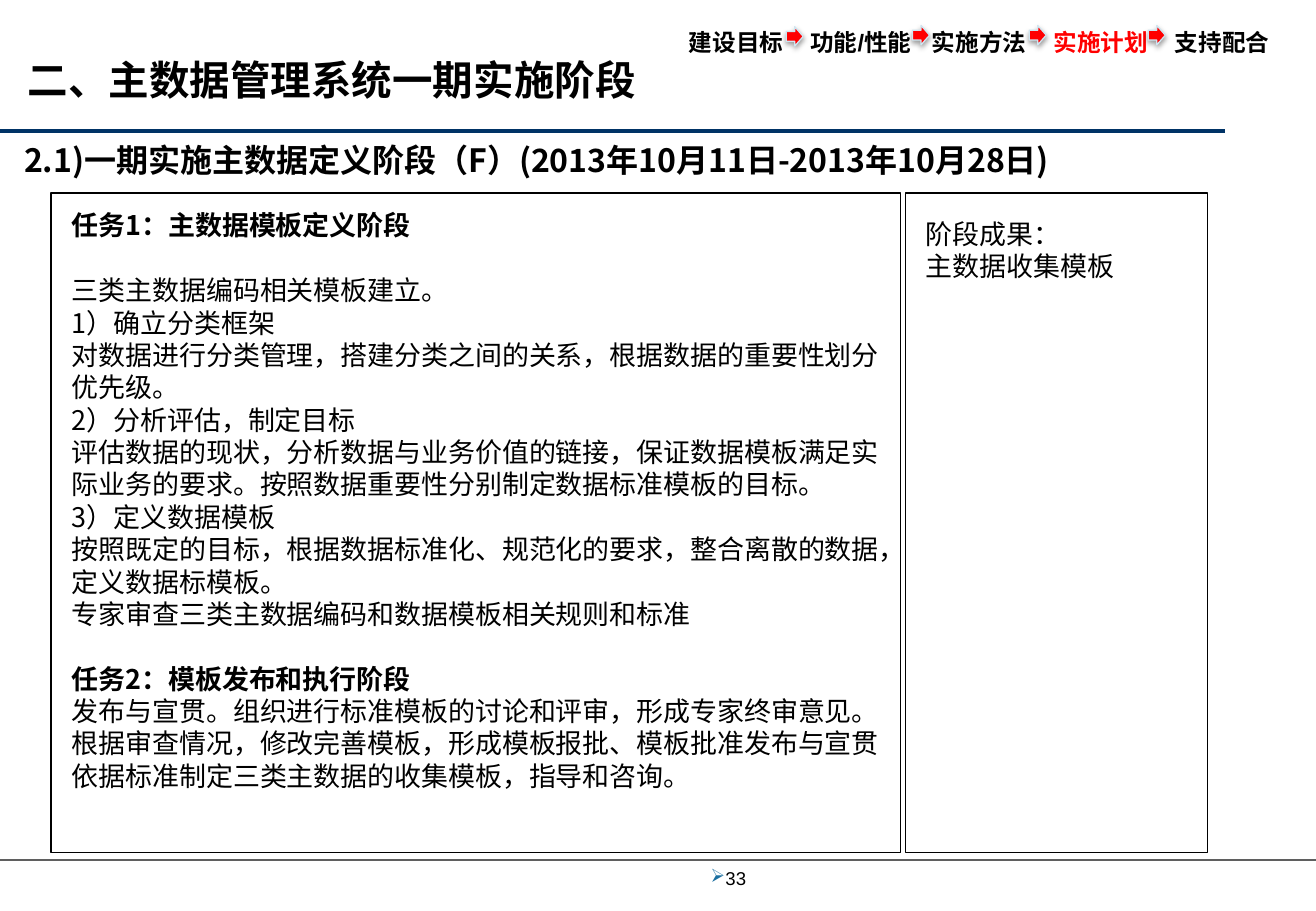
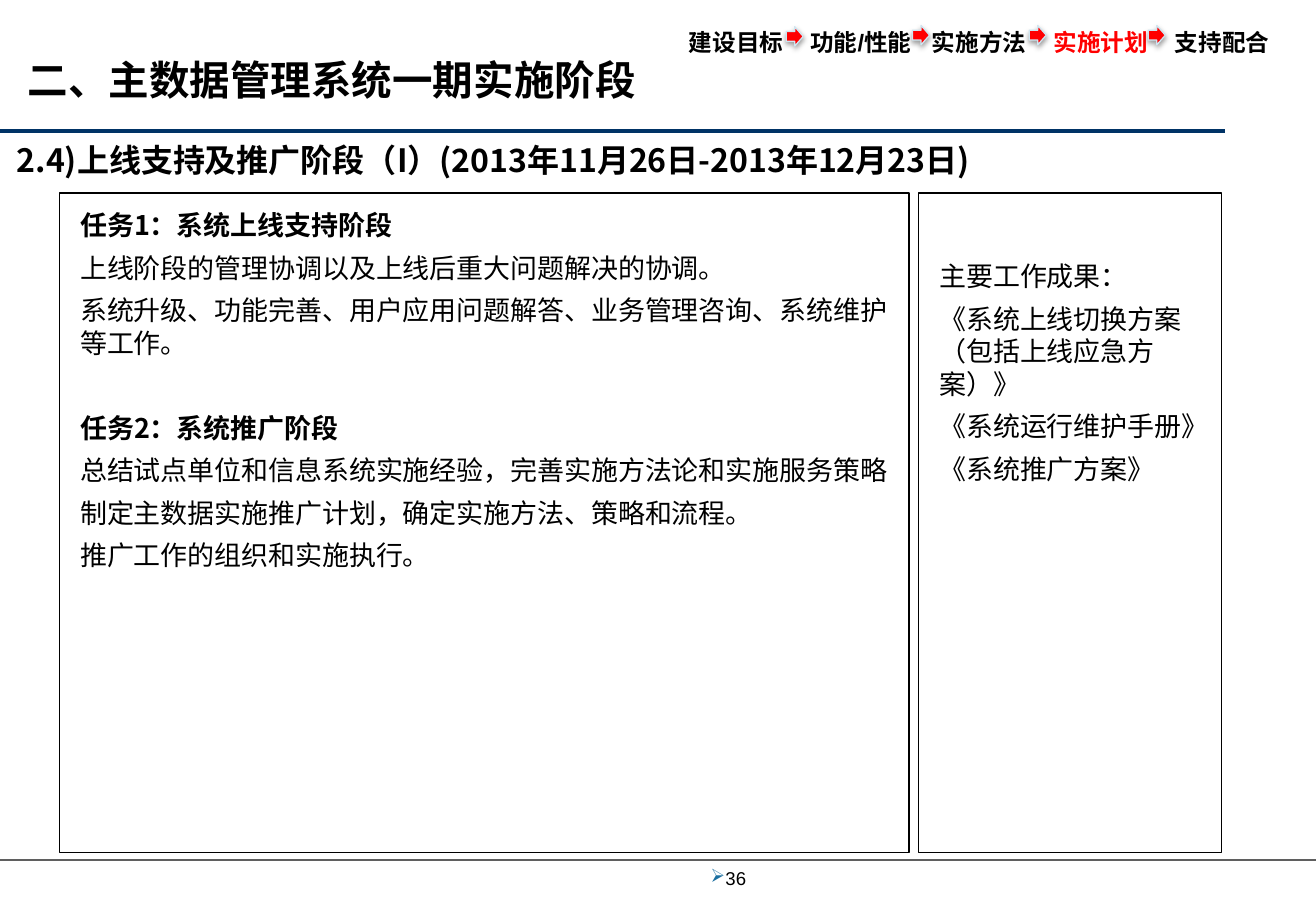
"""Builds two slides on the phases of a master data project."""
from lxml import etree
from pptx import Presentation
from pptx.dml.color import RGBColor
from pptx.enum.shapes import MSO_CONNECTOR, MSO_SHAPE
from pptx.enum.text import MSO_ANCHOR, MSO_AUTO_SIZE, PP_ALIGN
from pptx.oxml.ns import qn
from pptx.util import Inches, Pt

STRAIGHT = MSO_CONNECTOR.STRAIGHT
RECTANGLE = MSO_SHAPE.RECTANGLE
RIGHT_ARROW = MSO_SHAPE.RIGHT_ARROW
TOP, MIDDLE = MSO_ANCHOR.TOP, MSO_ANCHOR.MIDDLE
LEFT = PP_ALIGN.LEFT
FIXED_SIZE = MSO_AUTO_SIZE.NONE

BLACK = RGBColor(0x00, 0x00, 0x00)
WHITE = RGBColor(0xFF, 0xFF, 0xFF)
RED = RGBColor(0xFF, 0x00, 0x00)
NAVY = RGBColor(0x00, 0x33, 0x66)
GREY = RGBColor(0x5F, 0x5F, 0x5F)
PALE_BLUE = RGBColor(0xD0, 0xE6, 0xF1)
BULLET_BLUE = RGBColor(0x1A, 0x6F, 0xA0)

CJK_FONT = "Noto Sans CJK SC"
LATIN_FONT = "Arial"
LINE = 19.2
PANEL_TOP, PANEL_HEIGHT = 1.59, 5.43
TASK_WIDTH, RESULT_WIDTH = 6.99, 2.49
TEXT_SHIFT = 0.07

TITLE = "二、主数据管理系统一期实施阶段"
STEPS = ["建设目标", "功能/性能", "实施方法", "实施计划", "支持配合"]
CURRENT_STEP = "实施计划"
STEP_TABS = [0.92, 1.97, 2.88, 3.8]
STEP_ARROWS = [(6.47, 0.22), (7.51, 0.21), (8.47, 0.21), (9.45, 0.21)]
RULES = [(7.08, 10.83, GREY, 1), (1.08, 10.08, NAVY, 2.25)]

PHASES = [
    {
        "number": "33",
        "subtitle": "2.1)一期实施主数据定义阶段（F）(2013年10月11日-2013年10月28日)",
        "subtitle_left": 0.1,
        "task_left": 0.42,
        "result_left": 7.45,
        "result_text_top": 1.74,
        "after": 0,
        "tasks": [
            ("任务1：主数据模板定义阶段", LINE, [
                "三类主数据编码相关模板建立。",
                "1）确立分类框架",
                "对数据进行分类管理，搭建分类之间的关系，根据数据的重要性划分优先级。",
                "2）分析评估，制定目标",
                "评估数据的现状，分析数据与业务价值的链接，保证数据模板满足实际业务的要求。"
                "按照数据重要性分别制定数据标准模板的目标。",
                "3）定义数据模板",
                "按照既定的目标，根据数据标准化、规范化的要求，整合离散的数据，定义数据标模板。",
                "专家审查三类主数据编码和数据模板相关规则和标准",
            ]),
            ("任务2：模板发布和执行阶段", 0, [
                "发布与宣贯。组织进行标准模板的讨论和评审，形成专家终审意见。",
                "根据审查情况，修改完善模板，形成模板报批、模板批准发布与宣贯",
                "依据标准制定三类主数据的收集模板，指导和咨询。",
            ]),
        ],
        "results": ["阶段成果：", "主数据收集模板"],
    },
    {
        "number": "36",
        "subtitle": "2.4)上线支持及推广阶段（I）(2013年11月26日-2013年12月23日)",
        "subtitle_left": 0.04,
        "task_left": 0.49,
        "result_left": 7.56,
        "result_text_top": 2.09,
        "after": 6,
        "tasks": [
            ("任务1：系统上线支持阶段", 6, [
                "上线阶段的管理协调以及上线后重大问题解决的协调。",
                "系统升级、功能完善、用户应用问题解答、业务管理咨询、系统维护等工作。",
            ]),
            ("任务2：系统推广阶段", 6, [
                "总结试点单位和信息系统实施经验，完善实施方法论和实施服务策略",
                "制定主数据实施推广计划，确定实施方法、策略和流程。",
                "推广工作的组织和实施执行。",
            ]),
        ],
        "results": [
            "主要工作成果：",
            "《系统上线切换方案（包括上线应急方案）》",
            "《系统运行维护手册》",
            "《系统推广方案》",
        ],
    },
]


def place(shape, left, top, width, height):
    shape.left, shape.top = Inches(left), Inches(top)
    shape.width, shape.height = Inches(width), Inches(height)


def prepare_frame(shape, anchor=TOP, margins=(0.1, 0.05, 0.1, 0.05)):
    frame = shape.text_frame
    frame.word_wrap = True
    frame.auto_size = FIXED_SIZE
    frame.vertical_anchor = anchor
    (frame.margin_left, frame.margin_top,
     frame.margin_right, frame.margin_bottom) = map(Inches, margins)
    return frame


def add_text(para, text, size=16, bold=False, color=BLACK, font=CJK_FONT):
    span = para.add_run()
    span.text = text
    span.font.size = Pt(size)
    span.font.bold = bold
    span.font.name = font
    span.font.color.rgb = color
    east_asian = etree.SubElement(span._r.get_or_add_rPr(), qn("a:ea"))
    east_asian.set("typeface", CJK_FONT)


def format_para(para, line=None, before=0, after=0):
    para.alignment = LEFT
    para.space_before, para.space_after = Pt(before), Pt(after)
    if line:
        para.line_spacing = Pt(line)
    properties = para._p.get_or_add_pPr()
    properties.set("marL", "0")
    properties.set("indent", "0")
    return properties


def write_list(shape, rows):
    frame = prepare_frame(shape)
    for index, (text, bold, before, after) in enumerate(rows):
        para = frame.add_paragraph() if index else frame.paragraphs[0]
        properties = format_para(para, LINE, before, after)
        etree.SubElement(properties, qn("a:buNone"))
        add_text(para, text, bold=bold)


def add_text_box(page, left, top, width, height, anchor=TOP):
    box = page.shapes.add_textbox(0, 0, 0, 0)
    place(box, left, top, width, height)
    return prepare_frame(box, anchor).paragraphs[0]


def add_preset(page, kind, left, top, width, height, fill, outline):
    shape = page.shapes.add_shape(kind, 0, 0, 0, 0)
    place(shape, left, top, width, height)
    shape.shadow.inherit = False
    shape.fill.solid()
    shape.fill.fore_color.rgb = fill
    shape.line.color.rgb = outline
    shape.line.width = Pt(0.75)
    return shape


def add_rule(page, top, right, color, width):
    rule = page.shapes.add_connector(
        STRAIGHT, 0, Inches(top), Inches(right), Inches(top))
    rule.line.color.rgb = color
    rule.line.width = Pt(width)
    etree.SubElement(rule.element.spPr, qn("a:effectLst"))


def add_step_arrow(page, left, top):
    arrow = add_preset(page, RIGHT_ARROW, left, top, 0.14, 0.16, RED, PALE_BLUE)
    effects = arrow.element.spPr.find(qn("a:effectLst"))
    shadow = etree.SubElement(
        effects, qn("a:outerShdw"), blurRad=str(Pt(3.1)), dist=str(Pt(1.6)),
        dir="5400000", rotWithShape="0")
    tint = etree.SubElement(shadow, qn("a:srgbClr"), val=str(BLACK))
    etree.SubElement(tint, qn("a:alpha"), val="38000")


def add_step_trail(page):
    para = add_text_box(page, 5.57, 0.11, 5.12, 0.41)
    properties = format_para(para, 22)
    tabs = etree.SubElement(properties, qn("a:tabLst"))
    for position in STEP_TABS:
        etree.SubElement(tabs, qn("a:tab"), pos=str(Inches(position)), algn="l")
    for index, step in enumerate(STEPS):
        color = RED if step == CURRENT_STEP else BLACK
        text = "\t" + step if index else step
        add_text(para, text, size=14, bold=True, color=color, font=LATIN_FONT)
    for left, top in STEP_ARROWS:
        add_step_arrow(page, left, top)


def add_page_number(page, number):
    para = add_text_box(page, 5.75, 7.08, 1.58, 0.3, MIDDLE)
    properties = format_para(para)
    hanging = Inches(0.12)
    properties.set("marL", str(hanging))
    properties.set("indent", str(-hanging))
    bullet_color = etree.SubElement(properties, qn("a:buClr"))
    etree.SubElement(bullet_color, qn("a:srgbClr"), val=str(BULLET_BLUE))
    etree.SubElement(properties, qn("a:buFont"), typeface="Wingdings")
    etree.SubElement(properties, qn("a:buChar"), char="Ø")
    add_text(para, number, size=11, font=LATIN_FONT)


def add_panel(page, body, left, width, text_top, text_width, rows):
    panel = add_preset(page, RECTANGLE, left, PANEL_TOP, width, PANEL_HEIGHT,
                       WHITE, BLACK)
    body.element.addprevious(panel.element)
    bottom = PANEL_TOP + PANEL_HEIGHT
    place(body, left + TEXT_SHIFT, text_top, text_width, bottom - text_top)
    write_list(body, rows)


def add_phase(deck, phase):
    page = deck.slides.add_slide(deck.slide_layouts[3])
    title, task_body, result_body = page.placeholders
    for rule in RULES:
        add_rule(page, *rule)

    place(title, 0, 0.27, 5.28, 0.76)
    para = prepare_frame(title, MIDDLE, (0.23, 0.18, 0, 0.18)).paragraphs[0]
    format_para(para)
    add_text(para, TITLE, size=24, bold=True)

    para = add_text_box(page, phase["subtitle_left"], 0.92, 9.75, 0.79, MIDDLE)
    format_para(para)
    add_text(para, phase["subtitle"], size=19, bold=True)

    after = phase["after"]
    task_rows = []
    for heading, heading_after, lines in phase["tasks"]:
        before = LINE + after if task_rows else 0
        task_rows.append((heading, True, before, heading_after))
        task_rows += [(line, False, 0, after) for line in lines]
    result_rows = [(line, False, 0, after) for line in phase["results"]]
    add_panel(page, task_body, phase["task_left"], TASK_WIDTH, 1.67, 6.91,
              task_rows)
    add_panel(page, result_body, phase["result_left"], RESULT_WIDTH,
              phase["result_text_top"], 2.46, result_rows)

    add_step_trail(page)
    add_page_number(page, phase["number"])


def main():
    deck = Presentation()
    deck.slide_width, deck.slide_height = Inches(10.83), Inches(7.5)
    for phase in PHASES:
        add_phase(deck, phase)
    deck.save("out.pptx")


if __name__ == "__main__":
    main()
